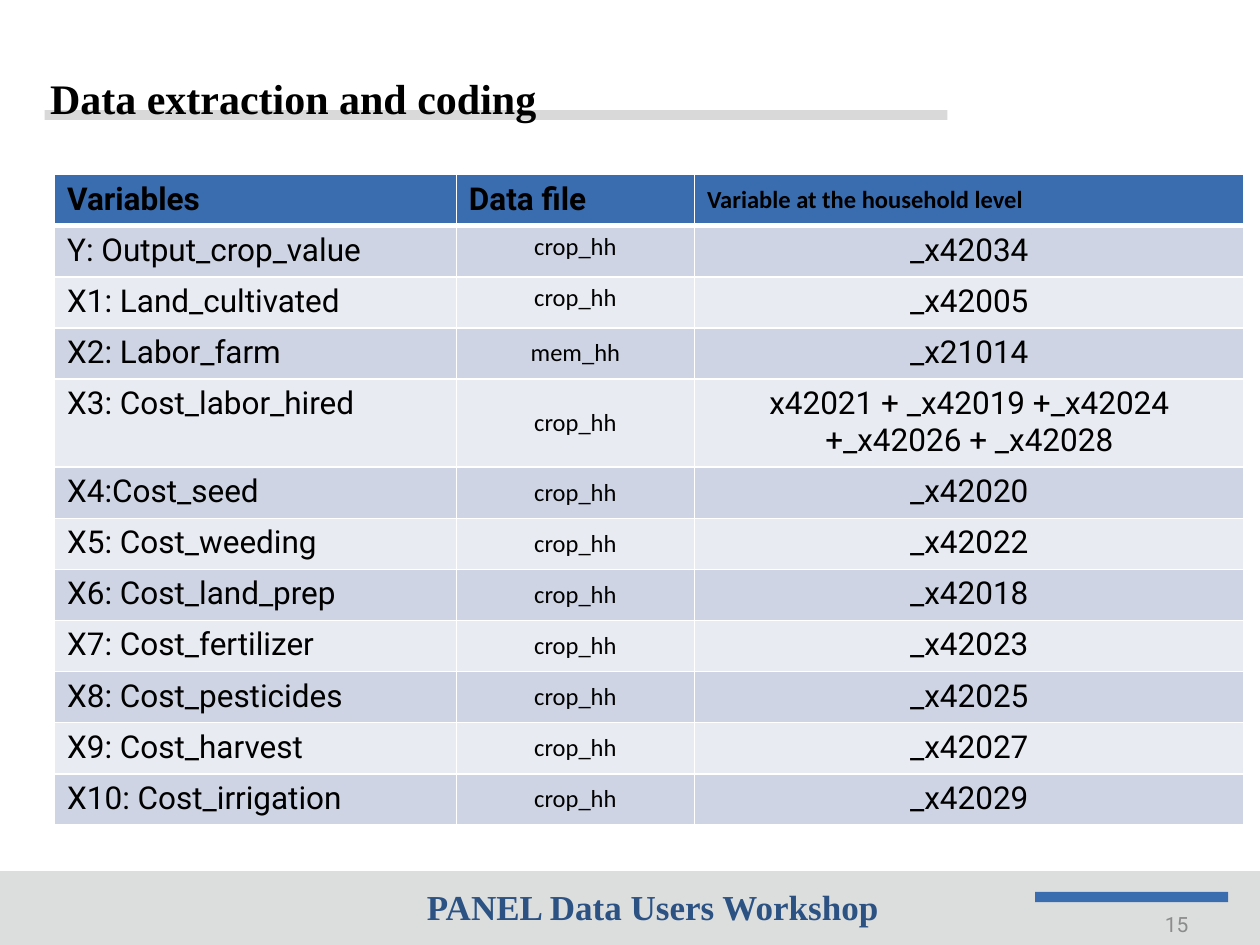
"""Build the data extraction and coding slide with its variable table."""
from lxml.etree import SubElement
from pptx import Presentation
from pptx.dml.color import RGBColor
from pptx.enum.shapes import MSO_SHAPE
from pptx.enum.text import MSO_ANCHOR as ANCHOR, PP_ALIGN as ALIGN
from pptx.oxml.ns import qn
from pptx.util import Cm, Pt

BLACK = RGBColor(0x00, 0x00, 0x00)
WHITE = RGBColor(0xFF, 0xFF, 0xFF)
BLUE = RGBColor(0x3A, 0x6D, 0xAF)
NAVY = RGBColor(0x2B, 0x52, 0x83)
GRAY = RGBColor(0x8C, 0x8C, 0x8C)
RULE = RGBColor(0xD9, 0xD9, 0xD9)
FOOTER = RGBColor(0xDC, 0xDE, 0xDE)
BANDS = (RGBColor(0xCE, 0xD4, 0xE3), RGBColor(0xE8, 0xEB, 0xF2))

TITLE = {"name": "Times New Roman", "size": Pt(24), "bold": True}
WORKSHOP = {"name": "Times New Roman", "size": Pt(20), "bold": True}
NUMBER = {"name": "Roboto", "size": Pt(12), "bold": False}
BODY = {"name": "Roboto", "size": Pt(18), "bold": False}
FILE = {"name": "Calibri", "size": Pt(14), "bold": False}

HEADERS = ("Variables", "Data file", "Variable at the household level")
ROWS = (
    ("Y: Output_crop_value", "crop_hh", "_x42034"),
    ("X1: Land_cultivated", "crop_hh", "_x42005"),
    ("X2: Labor_farm", "mem_hh", "_x21014"),
    ("X3: Cost_labor_hired", "crop_hh",
     "x42021 + _x42019 +_x42024 +_x42026 + _x42028"),
    ("X4:Cost_seed", "crop_hh", "_x42020"),
    ("X5: Cost_weeding", "crop_hh", "_x42022"),
    ("X6: Cost_land_prep", "crop_hh", "_x42018"),
    ("X7: Cost_fertilizer", "crop_hh", "_x42023"),
    ("X8: Cost_pesticides", "crop_hh", "_x42025"),
    ("X9: Cost_harvest", "crop_hh", "_x42027"),
    ("X10: Cost_irrigation", "crop_hh", "_x42029"),
)
COL_WIDTHS = (8.1, 4.8, 11.08)
ROW_HEIGHT = 1.03
TALL_ROW, TALL_HEIGHT = 4, 1.75


class SlideBuilder:
    """Hold the style and the current slide."""

    def __init__(self, slide):
        self.s = slide

    def paragraph(self, tf, text, fmt, color=BLACK, align=ALIGN.LEFT):
        """Put one formatted paragraph into a text frame."""
        p = tf.paragraphs[0]
        p.alignment = align
        r = p.add_run()
        r.text = text
        for key, value in fmt.items():
            setattr(r.font, key, value)
        r.font.color.rgb = color

    def bar(self, x, y, w, h, color):
        """Add a plain filled rectangle."""
        sp = self.s.shapes.add_shape(
            MSO_SHAPE.RECTANGLE, Cm(x), Cm(y), Cm(w), Cm(h))
        sp.shadow.inherit = False
        sp.fill.solid()
        sp.fill.fore_color.rgb = color
        sp.line.fill.background()

    def text(self, x, y, w, h, text, fmt, color=BLACK, align=ALIGN.LEFT,
             anchor=ANCHOR.TOP, top=0.13):
        """Add a text box."""
        tf = self.s.shapes.add_textbox(Cm(x), Cm(y), Cm(w), Cm(h)).text_frame
        tf.word_wrap = True
        tf.vertical_anchor = anchor
        tf.margin_top = Cm(top)
        self.paragraph(tf, text, fmt, color, align)

    def border(self, cell, widths):
        """Draw white cell borders, given left, right, top and bottom widths."""
        tc_pr = cell._tc.get_or_add_tcPr()
        for side, width in zip(("lnL", "lnR", "lnT", "lnB"), widths):
            ln = SubElement(tc_pr, qn(f"a:{side}"), w=str(Pt(width)))
            fill = SubElement(ln, qn("a:solidFill"))
            SubElement(fill, qn("a:srgbClr"), val=str(WHITE))

    def cell(self, cell, i, j, text):
        """Fill, border and label one cell of the variable table."""
        header = i == 0
        self.border(cell, (1, 1, 3 if i == 1 else 1, 3 if header else 1))
        cell.fill.solid()
        cell.fill.fore_color.rgb = BLUE if header else BANDS[(i - 1) % 2]
        middle = (header and j == 2) or (i > 2 and j == 1)
        cell.vertical_anchor = ANCHOR.MIDDLE if middle else ANCHOR.TOP
        small = j == (2 if header else 1)
        fmt = {**(FILE if small else BODY), "bold": header}
        align = ALIGN.LEFT if header or j == 0 else ALIGN.CENTER
        self.paragraph(cell.text_frame, text, fmt, align=align)

    def table(self, x, y, rows):
        """Add the variable table."""
        heights = [ROW_HEIGHT] * len(rows)
        heights[TALL_ROW] = TALL_HEIGHT
        tbl = self.s.shapes.add_table(
            len(rows), len(COL_WIDTHS), Cm(x), Cm(y),
            Cm(sum(COL_WIDTHS)), Cm(sum(heights))).table
        for col, width in zip(tbl.columns, COL_WIDTHS):
            col.width = Cm(width)
        for i, (values, height) in enumerate(zip(rows, heights)):
            tbl.rows[i].height = Cm(height)
            for j, value in enumerate(values):
                self.cell(tbl.cell(i, j), i, j, value)


def main():
    """Build and save the slide."""
    prs = Presentation()
    prs.slide_width, prs.slide_height = Cm(25.4), Cm(19.05)
    b = SlideBuilder(prs.slides.add_slide(prs.slide_layouts[6]))
    b.bar(0.9, 2.22, 18.2, 0.2, RULE)
    b.bar(0, 17.56, 25.4, 1.49, FOOTER)
    b.bar(20.87, 17.98, 3.89, 0.21, BLUE)
    b.text(1.63, 17.73, 23.06, 1.07, "PANEL Data Users Workshop", WORKSHOP,
           NAVY, ALIGN.CENTER)
    b.text(18.29, 18.11, 5.92, 1.02, "15", NUMBER, GRAY, ALIGN.RIGHT,
           ANCHOR.MIDDLE)
    b.text(0.76, 0.74, 18.59, 1.37, "Data extraction and coding", TITLE,
           top=0.73)
    b.table(1.1, 3.52, (HEADERS, *ROWS))
    prs.save("out.pptx")


if __name__ == "__main__":
    main()
